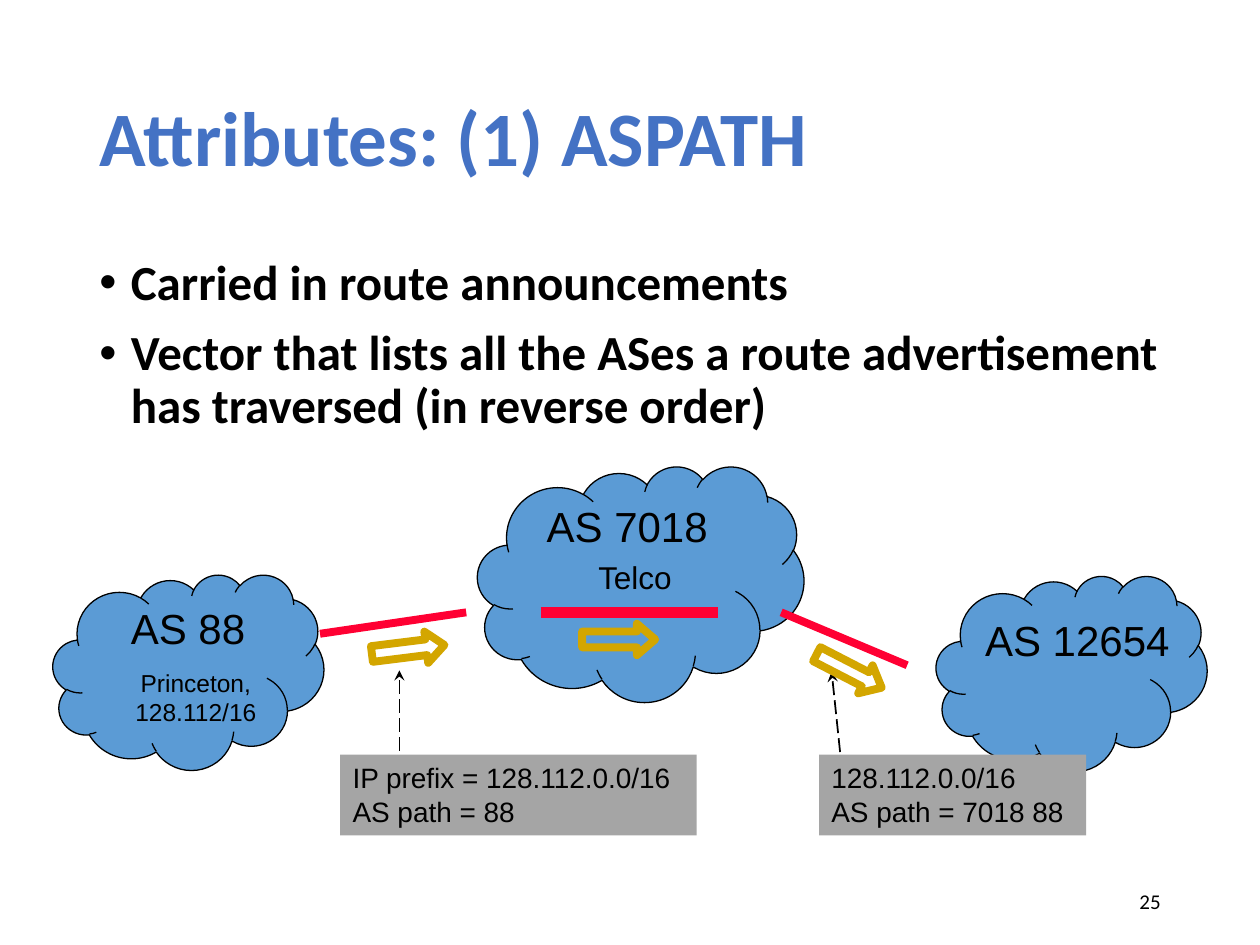
import pptx
import pptx.dml.color
import pptx.enum.dml
import pptx.enum.shapes
import pptx.enum.text
import pptx.oxml.ns
import pptx.util
from lxml import etree

qn = pptx.oxml.ns.qn
colour = pptx.dml.color.RGBColor.from_string
presets = pptx.enum.shapes.MSO_SHAPE
align = pptx.enum.text.PP_ALIGN
middle = pptx.enum.text.MSO_ANCHOR.MIDDLE

deck = pptx.Presentation()
deck.slide_width = pptx.util.Inches(10)
deck.slide_height = pptx.util.Inches(7.5)
cell = deck.slide_width // 100
slide = deck.slides.add_slide(deck.slide_layouts[5])
shapes = slide.shapes


def grid(*cells):
    return [pptx.util.Emu(round(count * cell)) for count in cells]


def write(frame, lines, font, ink="000000", paragraph_format={}, frame_format={}):
    for key, value in frame_format.items():
        setattr(frame, key, value)
    for index, line in enumerate(lines):
        paragraph = frame.paragraphs[0] if index == 0 else frame.add_paragraph()
        paragraph.text = line
        for key, value in paragraph_format.items():
            setattr(paragraph, key, value)
        for run in paragraph.runs:
            for key, value in font.items():
                setattr(run.font, key, value)
            run.font.color.rgb = colour(ink)


heading = shapes.title
heading.left, heading.top, heading.width, heading.height = grid(6.9, 4, 86.2, 14.5)
write(heading.text_frame, ["Attributes: (1) ASPATH"],
      {"name": "Calibri", "size": pptx.util.Pt(44), "bold": True}, "4472C4",
      {"alignment": align.LEFT, "line_spacing": 0.9},
      {"vertical_anchor": middle, "word_wrap": True})

points = shapes.add_textbox(*grid(6.9, 20, 86.2, 47.6)).text_frame
write(points, ["Carried in route announcements",
               "Vector that lists all the ASes a route advertisement has traversed (in reverse order)"],
      {"name": "Calibri", "size": pptx.util.Pt(28), "bold": True},
      paragraph_format={"line_spacing": 0.9}, frame_format={"word_wrap": True})
indent = grid(2.5)[0]
for point in points.paragraphs:
    properties = point._p.get_or_add_pPr()
    properties.set("marL", str(indent))
    properties.set("indent", str(-indent))
    etree.SubElement(properties, qn("a:buFont")).set("typeface", "Arial")
    etree.SubElement(properties, qn("a:buChar")).set("char", "•")
points.paragraphs[1].space_before = pptx.util.Pt(10)

page = shapes.add_textbox(*grid(70.6, 69.5, 22.5, 4)).text_frame
write(page, ["25"], {"name": "Calibri", "size": pptx.util.Pt(12)},
      paragraph_format={"alignment": align.RIGHT},
      frame_format={"vertical_anchor": middle, "word_wrap": True})

for place in [(4.2, 45.6, 21.5, 15.5), (37.9, 37, 25.9, 18.7), (74.3, 45.7, 21.5, 15.5)]:
    network = shapes.add_shape(presets.CLOUD, *grid(*place))
    network.shadow.inherit = False
    network.fill.solid()
    network.fill.fore_color.rgb = colour("5B9BD5")
    network.line.color.rgb = colour("000000")
    network.line.width = pptx.util.Pt(0.75)

for place, name, size, side in [
    ((9.4, 47.3, 11.3, 5.1), "AS 88", 24, align.LEFT),
    ((9.4, 52.5, 12.3, 5.7), "Princeton,\v128.112/16", 14, align.CENTER),
    ((42.4, 39.2, 15.1, 5.1), "AS 7018", 24, align.LEFT),
    ((46.5, 43.8, 9.4, 4), "Telco", 18, align.LEFT),
    ((77.2, 48.3, 17, 5.1), "AS 12654", 24, align.LEFT),
]:
    write(shapes.add_textbox(*grid(*place)).text_frame, [name],
          {"name": "Arial", "size": pptx.util.Pt(size)},
          paragraph_format={"alignment": side}, frame_format={"word_wrap": False})

for left, width, lines in [
    (27, 28.3, ["IP prefix = 128.112.0.0/16", "AS path = 88"]),
    (65, 21.2, ["128.112.0.0/16", "AS path = 7018 88"]),
]:
    announcement = shapes.add_shape(presets.RECTANGLE, *grid(left, 59.9, width, 6.4))
    announcement.shadow.inherit = False
    announcement.fill.solid()
    announcement.fill.fore_color.rgb = colour("A5A5A5")
    announcement.line.fill.background()
    write(announcement.text_frame, lines, {"name": "Arial", "size": pptx.util.Pt(16)},
          paragraph_format={"alignment": align.LEFT},
          frame_format={"word_wrap": False, "vertical_anchor": pptx.enum.text.MSO_ANCHOR.TOP})

for ends, ink, weight, is_pointer in [
    ((31.7, 53.2, 31.7, 59.9), "000000", 1, True),
    ((66, 53.3, 66.7, 59.9), "000000", 1, True),
    ((25.4, 50.3, 37, 48.6), "FF0033", 4.5, False),
    ((42.9, 48.6, 57, 48.6), "FF0033", 6, False),
    ((62, 48.6, 72, 52.8), "FF0033", 4.5, False),
]:
    link = shapes.add_connector(pptx.enum.shapes.MSO_CONNECTOR.STRAIGHT, *grid(*ends))
    link.line.color.rgb = colour(ink)
    link.line.width = pptx.util.Pt(weight)
    outline = link._element.spPr
    if is_pointer:
        link.line.dash_style = pptx.enum.dml.MSO_LINE.LONG_DASH
        etree.SubElement(outline.find(qn("a:ln")), qn("a:headEnd")).set("type", "stealth")
    etree.SubElement(outline, qn("a:effectLst"))

for left, top, turn in [(29.5, 50.3, 352.9), (46.2, 49.5, 0), (64.5, 52, 27.3)]:
    advertisement = shapes.add_shape(presets.RIGHT_ARROW, *grid(left, top, 5.8, 2.5))
    advertisement.shadow.inherit = False
    advertisement.rotation = turn
    advertisement.adjustments[1] = 0.58
    advertisement.fill.background()
    advertisement.line.color.rgb = colour("D3A600")
    advertisement.line.width = pptx.util.Pt(4.5)

deck.save("out.pptx")
